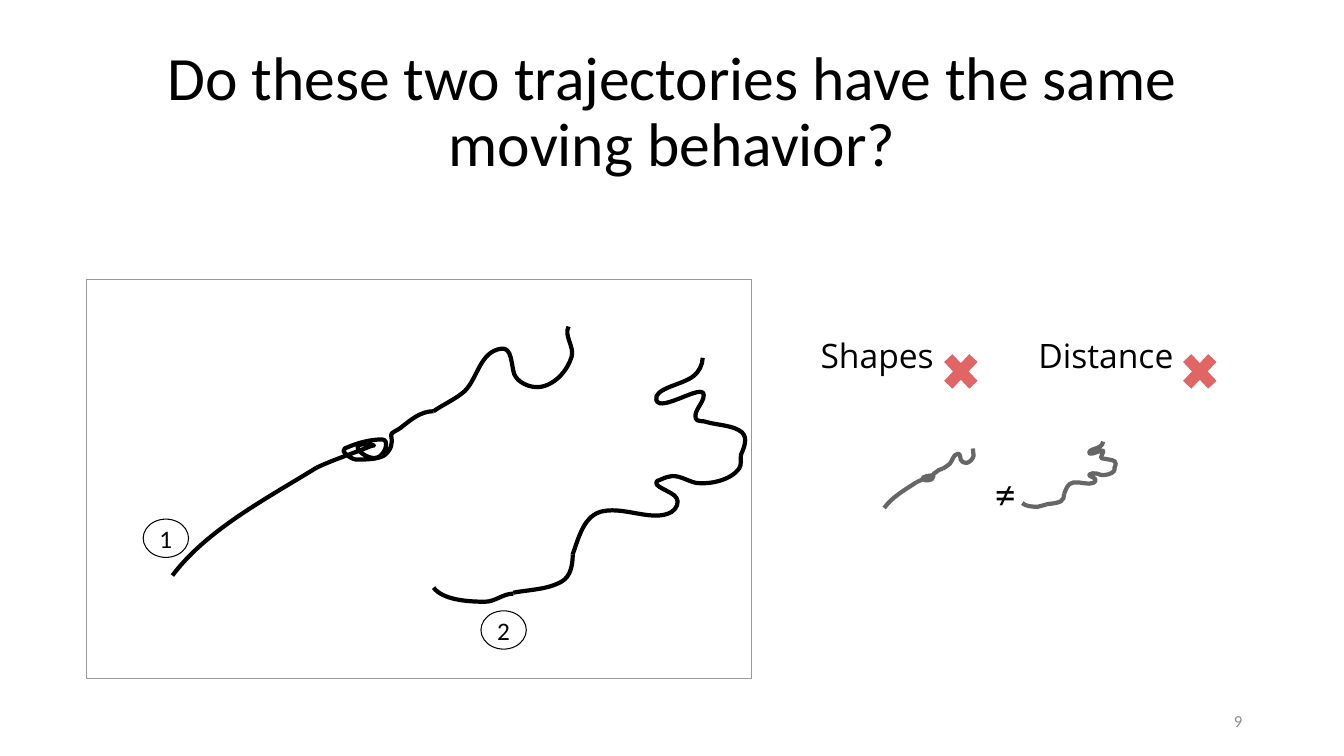
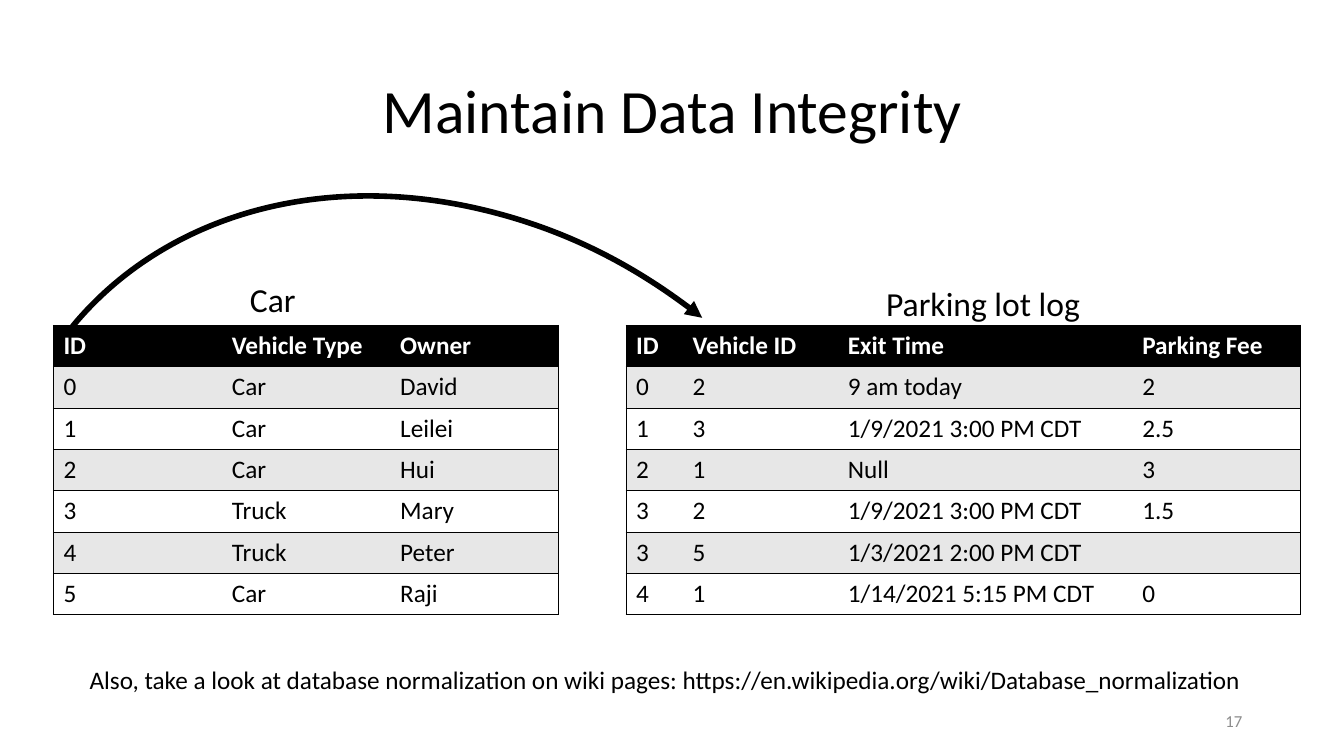
from lxml import etree
from pptx import Presentation
from pptx.dml.color import RGBColor
from pptx.enum import shapes, text
from pptx.oxml.ns import qn
from pptx.util import Inches, Pt

BLACK, WHITE, GREY = "000000", "FFFFFF", "666666"
BAND, FRAME, NUMBER, CROSS = "E7E7E7", "999999", "8C8C8C", "E06666"
FONT, LABEL_FONT = "Calibri", "Open Sans"
LEFT, CENTER, RIGHT = text.PP_ALIGN.LEFT, text.PP_ALIGN.CENTER, text.PP_ALIGN.RIGHT
TOP, MIDDLE = text.MSO_ANCHOR.TOP, text.MSO_ANCHOR.MIDDLE
KIND = shapes.MSO_SHAPE

# Each stroke is a start point followed by three points for every Bézier curve.
FIRST = [
    [(1.71, 5.71), (2.05, 5.26), (2.62, 4.96), (3.14, 4.64)],
    [(3.14, 4.64), (3.31, 4.56), (3.5, 4.5), (3.67, 4.43),
     (3.68, 4.42), (3.72, 4.42), (3.71, 4.42), (3.66, 4.4), (3.59, 4.4), (3.56, 4.42),
     (3.5, 4.46), (3.67, 4.57), (3.74, 4.54), (3.82, 4.52), (3.87, 4.36), (3.79, 4.36),
     (3.66, 4.36), (3.53, 4.4), (3.42, 4.45), (3.37, 4.47), (3.47, 4.55), (3.53, 4.56),
     (3.63, 4.56), (3.74, 4.56), (3.81, 4.52), (3.88, 4.47), (3.9, 4.39), (3.88, 4.32),
     (3.87, 4.29), (3.95, 4.27), (3.98, 4.24), (4.07, 4.17), (4.17, 4.08), (4.3, 4.08)],
    [(4.3, 4.08), (4.4, 4.01), (4.52, 3.96), (4.61, 3.88),
     (4.74, 3.75), (4.76, 3.49), (4.97, 3.46), (5.08, 3.44), (5.07, 3.62), (5.1, 3.71),
     (5.13, 3.79), (5.25, 3.85), (5.35, 3.84), (5.51, 3.82), (5.63, 3.67), (5.67, 3.54),
     (5.7, 3.44), (5.59, 3.33), (5.64, 3.24)],
]
SECOND = [
    [(4.3, 5.83), (4.39, 5.95), (4.63, 5.97), (4.81, 5.97),
     (4.91, 5.97), (4.99, 5.89), (5.09, 5.89)],
    [(5.09, 5.88), (5.25, 5.85), (5.43, 5.85), (5.57, 5.77),
     (5.66, 5.72), (5.68, 5.6), (5.68, 5.5)],
    [(5.68, 5.5), (5.74, 5.34), (5.79, 5.1), (5.99, 5.07),
     (6.21, 5.03), (6.48, 5.18), (6.66, 5.08), (6.71, 5.05), (6.74, 4.98), (6.71, 4.94),
     (6.67, 4.87), (6.46, 4.83), (6.52, 4.77), (6.53, 4.77), (6.61, 4.73), (6.63, 4.73),
     (6.72, 4.7), (6.81, 4.77), (6.9, 4.79), (7.05, 4.81), (7.25, 4.76), (7.33, 4.65),
     (7.36, 4.61), (7.34, 4.56), (7.35, 4.51), (7.38, 4.44), (7.42, 4.35), (7.36, 4.29),
     (7.28, 4.22), (7.13, 4.22), (7.02, 4.19), (6.98, 4.17), (6.91, 4.19), (6.9, 4.15),
     (6.88, 4.07), (6.98, 4), (6.98, 3.92), (6.98, 3.79), (6.55, 4.1), (6.51, 3.97),
     (6.48, 3.85), (6.77, 3.82), (6.88, 3.73), (6.93, 3.69), (6.97, 3.62), (6.97, 3.55)],
]

CARS = [
    ("ID", "Vehicle Type", "Owner"),
    ("0", "Car", "David"),
    ("1", "Car", "Leilei"),
    ("2", "Car", "Hui"),
    ("3", "Truck", "Mary"),
    ("4", "Truck", "Peter"),
    ("5", "Car", "Raji"),
]
LOG = [
    ("ID", "Vehicle ID", "Exit Time", "Parking Fee"),
    ("0", "2", "9 am today", "2"),
    ("1", "3", "1/9/2021 3:00 PM CDT", "2.5"),
    ("2", "1", "Null", "3"),
    ("3", "2", "1/9/2021 3:00 PM CDT", "1.5"),
    ("3", "5", "1/3/2021 2:00 PM CDT", ""),
    ("4", "1", "1/14/2021 5:15 PM CDT", "0"),
]


def paint(target, color):
    """Set a solid colour on a fill, or clear it when there is no colour."""
    if color is None:
        target.background()
    else:
        target.solid()
        target.fore_color.rgb = RGBColor.from_string(color)


def write(para, words, size, color=BLACK, font=FONT, bold=False):
    run = para.add_run()
    run.text = words
    run.font.size, run.font.name, run.font.bold = Pt(size), font, bold
    paint(run.font.fill, color)


def label(slide, box, words, size, color=BLACK, font=FONT, align=LEFT,
          anchor=TOP, pad=0.05, space=1):
    frame = slide.shapes.add_textbox(*map(Inches, box)).text_frame
    frame.word_wrap = True
    frame.vertical_anchor = anchor
    frame.margin_top = frame.margin_bottom = Inches(pad)
    para = frame.paragraphs[0]
    para.alignment, para.line_spacing = align, space
    write(para, words, size, color, font)


def style(shape, fill=None, line=None, width=0.75):
    shape.shadow.inherit = False
    paint(shape.fill, fill)
    paint(shape.line.fill, line)
    if line:
        shape.line.width = Pt(width)


def figure(slide, kind, box, **look):
    shape = slide.shapes.add_shape(kind, *map(Inches, box))
    style(shape, **look)
    return shape


def curve(slide, points, color):
    """Draw one open stroke of joined Bézier curves."""
    start, *rest = [(Inches(x), Inches(y)) for x, y in points]
    pen = slide.shapes.build_freeform(*start)
    pen.add_line_segments(rest, close=False)
    shape = pen.convert_to_shape()
    style(shape, line=color, width=3)
    steps = list(shape._element.iter(qn("a:lnTo")))
    for i in range(0, len(steps), 3):
        bend = etree.Element(qn("a:cubicBezTo"))
        steps[i].addprevious(bend)
        for step in steps[i:i + 3]:
            bend.append(step[0])
            step.getparent().remove(step)


def track(slide, strokes, color=BLACK, start=None, scale=(1, 1)):
    """Draw a trajectory, moved to start and scaled from its first point."""
    home = strokes[0][0]
    start = start or home
    for stroke in strokes:
        curve(slide, [[s + (v - h) * k for v, h, s, k in zip(point, home, start, scale)]
                      for point in stroke], color)


def badge(slide, left, top, words):
    figure(slide, KIND.OVAL, (left, top, 0.45, 0.38), line=BLACK)
    label(slide, (left + 0.06, top + 0.06, 0.33, 0.27), words, 18,
          align=CENTER, anchor=MIDDLE, pad=0.1)


def edge(cell, color, sides):
    """Rule the given sides of a cell and clear the others."""
    props = cell._tc.get_or_add_tcPr()
    for i, side in enumerate("LRTB"):
        line = etree.Element(qn(f"a:ln{side}"), w=str(Pt(1)))
        if side in sides:
            fill = etree.SubElement(line, qn("a:solidFill"))
            etree.SubElement(fill, qn("a:srgbClr"), val=color)
        else:
            etree.SubElement(line, qn("a:noFill"))
        props.insert(i, line)


def grid(slide, left, top, widths, rows, height=0.41):
    box = (left, top, sum(widths), height * len(rows))
    table = slide.shapes.add_table(len(rows), len(widths), *map(Inches, box)).table
    table.horz_banding = False
    for col, width in zip(table.columns, widths):
        col.width = Inches(width)
    for r, row in enumerate(rows):
        table.rows[r].height = Inches(height)
        head = r == 0
        for c, words in enumerate(row):
            cell = table.cell(r, c)
            paint(cell.fill, BLACK if head else BAND if r % 2 else WHITE)
            edge(cell, BLACK, "TB" + "L" * (c == 0) + "R" * (c == len(row) - 1))
            if words:
                write(cell.text_frame.paragraphs[0], words, 18,
                      WHITE if head else BLACK, bold=head)


def page(deck, title, number):
    """Add a slide with the shared title and slide number."""
    slide = deck.slides.add_slide(deck.slide_layouts[6])
    label(slide, (0.92, 0.4, 11.5, 1.45), title, 44,
          align=CENTER, anchor=MIDDLE, space=0.9)
    label(slide, (9.42, 6.95, 3, 0.4), number, 12, NUMBER, align=RIGHT, anchor=MIDDLE)
    return slide


def paths(deck):
    slide = page(deck, "Do these two trajectories have the same moving behavior?", "9")
    figure(slide, KIND.RECTANGLE, (0.86, 2.77, 6.59, 3.96), line=FRAME)
    track(slide, FIRST)
    track(slide, SECOND)
    badge(slide, 1.42, 5.15, "1")
    badge(slide, 4.77, 6.06, "2")

    track(slide, FIRST, GREY, (8.77, 5.04), (0.224, 0.239))
    track(slide, SECOND, GREY, (10.14, 4.99), (0.3, 0.267))
    label(slide, (9.77, 4.46, 0.5, 0.7), "≠", 30, pad=0.1, space=1.15)
    for words, left, mark in (("Shapes", 8.04, 9.29), ("Distance", 10.2, 11.66)):
        label(slide, (left, 3.22, 1.7, 0.72), words, 24, font=LABEL_FONT, pad=0.1)
        cross = figure(slide, KIND.MATH_MULTIPLY, (mark, 3.43, 0.48, 0.51), fill=CROSS)
        cross.adjustments[0] = 0.235


def tables(deck):
    slide = page(deck, "Maintain Data Integrity", "17")
    grid(slide, 0.53, 3.23, [1.67] * 3, CARS)
    grid(slide, 6.21, 3.23, [0.56, 1.54, 2.92, 1.67], LOG)

    arc = figure(slide, KIND.ARC, (0.45, 1.46, 8.03, 9.67), line=BLACK, width=4)
    arc.adjustments[0], arc.adjustments[1] = 162.42, 0
    arc.rotation = 308.5
    etree.SubElement(arc.line._get_or_add_ln(), qn("a:tailEnd"), type="triangle")

    label(slide, (2.38, 2.72, 0.8, 0.5), "Car", 24)
    label(slide, (8.69, 2.76, 2.3, 0.5), "Parking lot log", 24)
    label(slide, (0.79, 6.54, 12.2, 0.4),
          "Also, take a look at database normalization on wiki pages: "
          "https://en.wikipedia.org/wiki/Database_normalization", 18)


def main():
    deck = Presentation()
    deck.slide_width, deck.slide_height = Inches(13.33), Inches(7.5)
    paths(deck)
    tables(deck)
    deck.save("out.pptx")


if __name__ == "__main__":
    main()
